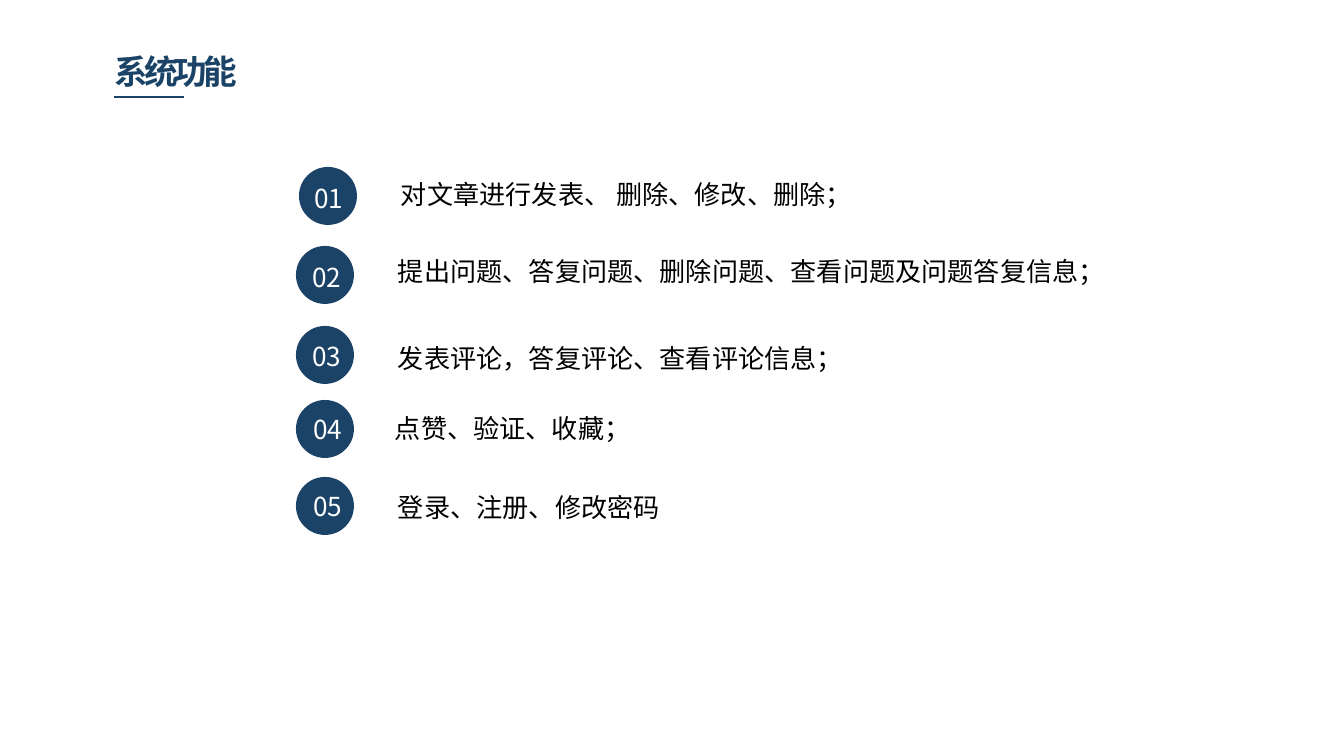
from dataclasses import dataclass

from lxml.etree import SubElement
from pptx import Presentation
from pptx.dml.color import RGBColor
from pptx.enum.shapes import MSO_CONNECTOR as Connector, MSO_SHAPE as Shape
from pptx.enum.text import MSO_AUTO_SIZE as AutoSize, PP_ALIGN as Align
from pptx.oxml.ns import qn
from pptx.util import Emu, Pt

EMU_PER_PX = 914400 / 134.4


def px(length):
    return Emu(round(length * EMU_PER_PX))


@dataclass(frozen=True)
class Theme:
    font: str = "Noto Sans CJK SC"
    navy: RGBColor = RGBColor(0x1B, 0x43, 0x67)
    ink: RGBColor = RGBColor(0, 0, 0)
    paper: RGBColor = RGBColor(255, 255, 255)
    title_size: int = 18
    body_size: int = 14
    rule_width: float = 0.75
    title_spacing: float = -2.2


def write(frame, text, *, font, size, color, bold=False, align=Align.LEFT, spacing=0):
    paragraph = frame.paragraphs[0]
    paragraph.alignment = align
    run = paragraph.add_run()
    run.text = text
    run.font.size = Pt(size)
    run.font.bold = bold
    run.font.color.rgb = color
    run.font.name = font
    properties = run.font._element
    SubElement(properties, qn("a:ea")).set("typeface", font)
    if spacing:
        properties.set("spc", str(round(spacing * 100)))


class FunctionSlide:
    def __init__(self, slide, theme):
        self.slide = slide
        self.theme = theme

    def text(self, text, left, top, width, height, *, shapes=None, wrap=True,
             inset=(13, 7), **style):
        box = (shapes or self.slide.shapes).add_textbox(
            px(left), px(top), px(width), px(height))
        frame = box.text_frame
        frame.word_wrap = wrap
        frame.auto_size = AutoSize.SHAPE_TO_FIT_TEXT
        frame.margin_left = frame.margin_right = px(inset[0])
        frame.margin_top = frame.margin_bottom = px(inset[1])
        write(frame, text, font=self.theme.font, **style)

    def rule(self, left, right, y):
        line = self.slide.shapes.add_connector(
            Connector.STRAIGHT, px(left), px(y), px(right), px(y))
        line.line.color.rgb = self.theme.navy
        line.line.width = Pt(self.theme.rule_width)
        SubElement(line._element.spPr, qn("a:effectLst"))

    def badge(self, number, left, top, label_left, label_top):
        shapes = self.slide.shapes.add_group_shape().shapes
        disc = shapes.add_shape(Shape.OVAL, px(left), px(top), px(58), px(58))
        disc.shadow.inherit = False
        disc.fill.solid()
        disc.fill.fore_color.rgb = self.theme.navy
        disc.line.fill.background()
        self.text(f"{number:02}", label_left, label_top, 70, 46, shapes=shapes,
                  size=self.theme.body_size, color=self.theme.paper, align=Align.CENTER)

    def title(self, text):
        self.text(text, 105, 46, 332, 51, inset=(10, 5), size=self.theme.title_size,
                  color=self.theme.navy, bold=True, spacing=self.theme.title_spacing)
        self.rule(114, 184, 97)

    def feature(self, text, left, top, width):
        self.text(text, left, top, width, 46, wrap=False,
                  size=self.theme.body_size, color=self.theme.ink)


FEATURES = [
    ("对文章进行发表、 删除、修改、删除；", (299, 167), (294, 175), (388, 171, 489)),
    ("提出问题、答复问题、删除问题、查看问题及问题答复信息；",
     (296, 246), (292, 254), (385, 248, 739)),
    ("发表评论，答复评论、查看评论信息；", (296, 326), (292, 333), (385, 335, 476)),
    ("点赞、验证、收藏；", (296, 400), (293, 406), (382, 405, 265)),
    ("登录、注册、修改密码", (296, 477), (293, 483), (385, 484, 292)),
]


def main():
    deck = Presentation()
    deck.slide_width = px(1344)
    deck.slide_height = px(756)
    page = FunctionSlide(deck.slides.add_slide(deck.slide_layouts[6]), Theme())
    page.title("系统功能")
    for number, (description, disc, label, place) in enumerate(FEATURES, start=1):
        page.badge(number, *disc, *label)
        page.feature(description, *place)
    deck.save("out.pptx")


if __name__ == "__main__":
    main()
